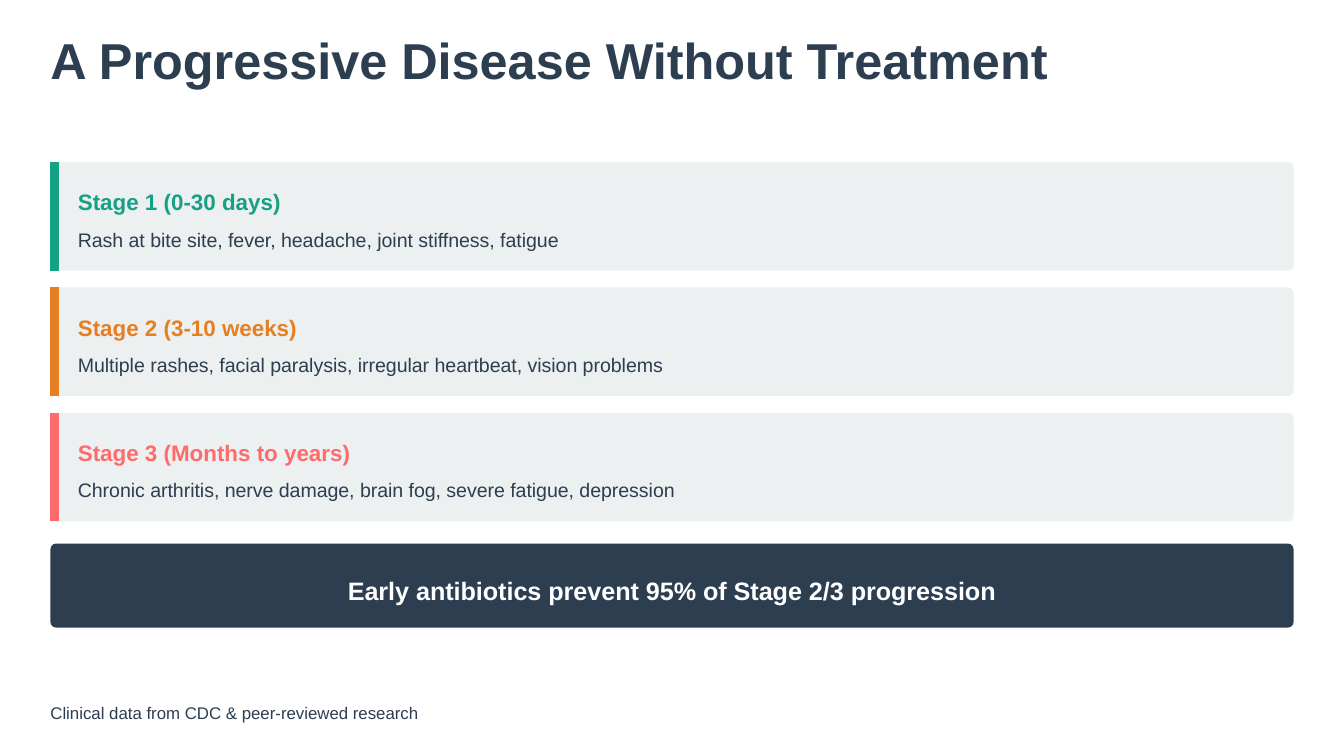
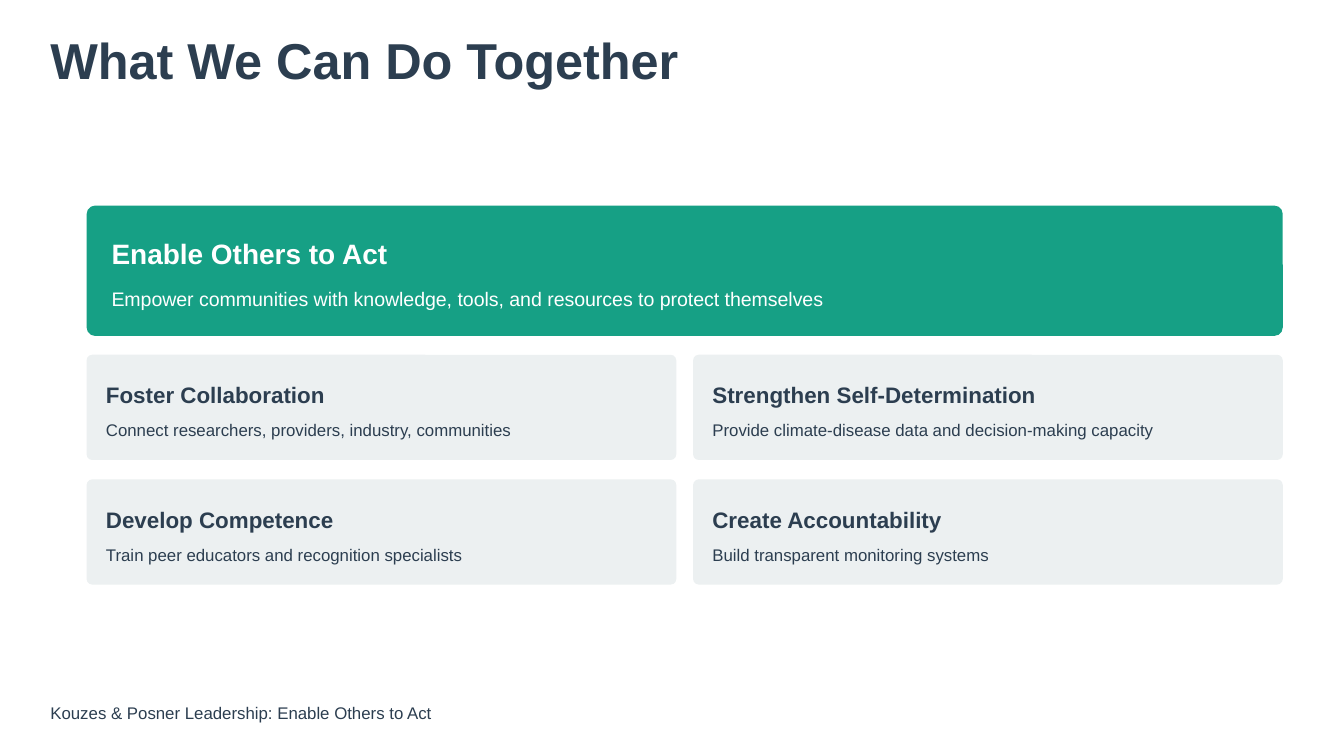
import dataclasses

import pptx
import pptx.dml.color
import pptx.enum.shapes
import pptx.enum.text
import pptx.oxml
import pptx.util

INK = pptx.dml.color.RGBColor(0x2C, 0x3E, 0x50)
MIST = pptx.dml.color.RGBColor(0xEC, 0xF0, 0xF1)
WHITE = pptx.dml.color.RGBColor(0xFF, 0xFF, 0xFF)
TEAL = pptx.dml.color.RGBColor(0x16, 0xA0, 0x85)
ORANGE = pptx.dml.color.RGBColor(0xE6, 0x7E, 0x22)
CORAL = pptx.dml.color.RGBColor(0xFF, 0x6B, 0x6B)

FONT = "Arial"
SLIDE_WIDTH = pptx.util.Inches(10)
SLIDE_HEIGHT = pptx.util.Inches(5.625)
COLUMNS = 100
CELL = SLIDE_WIDTH / COLUMNS
POINTS_PER_CELL = CELL / pptx.util.Pt(1)
MARGIN = 3.75
BLANK_LAYOUT = 6


@dataclasses.dataclass(frozen=True)
class Box:
    """A rectangle measured in square grid cells."""
    left: float
    top: float
    width: float
    height: float

    def emu(self):
        """Return left, top, width and height in slide units."""
        return [round(cells * CELL) for cells in dataclasses.astuple(self)]


@dataclasses.dataclass(frozen=True)
class TextStyle:
    """Size, line spacing and space after, in points."""
    size: float
    leading: float
    after: float = 0
    bold: bool = False

    @property
    def line_cells(self):
        """Return the height of one line in grid cells."""
        return self.leading / POINTS_PER_CELL


@dataclasses.dataclass(frozen=True)
class CardStyle:
    """Text styles, inset, spare text width and corner radius of a card."""
    heading: TextStyle
    detail: TextStyle
    inset: float
    trim: float
    radius: float = 0.42


TITLE = TextStyle(27, 30, 7.5, bold=True)
FOOTER = TextStyle(9, 12)
BANNER = TextStyle(13.5, 21, bold=True)
HEADING = TextStyle(12, 18, 4.5, bold=True)
STAGE_CARD = CardStyle(HEADING, TextStyle(10.5, 14.7), 2.05, 1.8)
ACTION_CARD = CardStyle(HEADING, TextStyle(9, 12.6), 1.43, 2.1)
LEAD_CARD = CardStyle(TextStyle(15, 21, 6, bold=True), TextStyle(10.5, 15.75), 1.85, 2.1, 0.63)

STAGES = [
    ("Stage 1 (0-30 days)", "Rash at bite site, fever, headache, joint stiffness, fatigue", TEAL),
    ("Stage 2 (3-10 weeks)",
     "Multiple rashes, facial paralysis, irregular heartbeat, vision problems", ORANGE),
    ("Stage 3 (Months to years)",
     "Chronic arthritis, nerve damage, brain fog, severe fatigue, depression", CORAL),
]
ACTIONS = [
    ("Foster Collaboration", "Connect researchers, providers, industry, communities"),
    ("Strengthen Self-Determination", "Provide climate-disease data and decision-making capacity"),
    ("Develop Competence", "Train peer educators and recognition specialists"),
    ("Create Accountability", "Build transparent monitoring systems"),
]


def add_line_of_text(slide, left, top, width, text, style, color,
                     align=pptx.enum.text.PP_ALIGN.LEFT):
    """Place one line of styled text at a grid position."""
    frame = slide.shapes.add_textbox(*Box(left, top, width, style.line_cells).emu()).text_frame
    frame.word_wrap = True
    frame.margin_left = frame.margin_right = frame.margin_top = frame.margin_bottom = 0
    paragraph = frame.paragraphs[0]
    paragraph.alignment = align
    paragraph.line_spacing = pptx.util.Pt(style.leading)
    paragraph.space_after = pptx.util.Pt(style.after)
    run = paragraph.add_run()
    run.text = text
    run.font.name = FONT
    run.font.size = pptx.util.Pt(style.size)
    run.font.bold = style.bold
    run.font.color.rgb = color


def add_panel(slide, box, fill, radius=0.42):
    """Draw a borderless rounded panel with a fixed corner radius."""
    panel = slide.shapes.add_shape(
        pptx.enum.shapes.MSO_SHAPE.ROUNDED_RECTANGLE, *box.emu())
    panel.adjustments[0] = radius / min(box.width, box.height)
    panel.shadow.inherit = False
    panel.fill.solid()
    panel.fill.fore_color.rgb = fill
    panel.line.fill.background()


def add_accent(slide, box, color):
    """Draw a thick upright line inside the left edge of a box."""
    thickness = 4.5
    center = box.left + thickness / POINTS_PER_CELL / 2
    left, top, _, height = dataclasses.replace(box, left=center).emu()
    accent = slide.shapes.add_connector(
        pptx.enum.shapes.MSO_CONNECTOR.STRAIGHT, left, top, left, top + height)
    accent.line.color.rgb = color
    accent.line.width = pptx.util.Pt(thickness)
    accent._element.spPr.append(pptx.oxml.parse_xml(
        '<a:effectLst xmlns:a="http://schemas.openxmlformats.org/drawingml/2006/main"/>'))


def add_card(slide, box, heading, detail, style, fill, heading_color, detail_color, accent=None):
    """Draw a panel with a heading and a detail line centred in its height."""
    add_panel(slide, box, fill, style.radius)
    if accent is not None:
        add_accent(slide, box, accent)
    detail_offset = style.heading.line_cells + style.heading.after / POINTS_PER_CELL
    left = box.left + style.inset
    top = box.top + (box.height - detail_offset - style.detail.line_cells) / 2
    width = box.width - style.trim
    add_line_of_text(slide, left, top, width, heading, style.heading, heading_color)
    add_line_of_text(slide, left, top + detail_offset, width, detail, style.detail, detail_color)


def add_banner(slide, box, message):
    """Draw a dark panel with a centred message."""
    add_panel(slide, box, INK)
    padding = 0.75
    add_line_of_text(slide, box.left + padding, box.top + (box.height - BANNER.line_cells) / 2,
                     box.width - 2 * padding, message, BANNER, WHITE,
                     pptx.enum.text.PP_ALIGN.CENTER)


def add_stages(slide, box, gap):
    """Stack the stage cards evenly in a box."""
    height = (box.height - gap * (len(STAGES) - 1)) / len(STAGES)
    for row, (heading, detail, color) in enumerate(STAGES):
        card = Box(box.left, box.top + row * (height + gap), box.width, height)
        add_card(slide, card, heading, detail, STAGE_CARD, MIST, color, INK, accent=color)


def add_actions(slide, box, column_gap, row_gap):
    """Lay the action cards out in two columns and two rows."""
    width = (box.width - column_gap) / 2
    height = (box.height - row_gap) / 2
    for index, (heading, detail) in enumerate(ACTIONS):
        row, column = divmod(index, 2)
        card = Box(box.left + column * (width + column_gap),
                   box.top + row * (height + row_gap), width, height)
        add_card(slide, card, heading, detail, ACTION_CARD, MIST, INK, INK)


def add_base_slide(deck, title, title_width, footer):
    """Add a white slide with its title and footer."""
    slide = deck.slides.add_slide(deck.slide_layouts[BLANK_LAYOUT])
    slide.background.fill.solid()
    slide.background.fill.fore_color.rgb = WHITE
    add_line_of_text(slide, MARGIN, 2.5, title_width, title, TITLE, INK)
    add_line_of_text(slide, MARGIN, 52.1, 94.4, footer, FOOTER, INK)
    return slide


def build_disease_slide(deck):
    """Build the slide on the stages of the disease."""
    slide = add_base_slide(deck, "A Progressive Disease Without Treatment", 75.8,
                           "Clinical data from CDC & peer-reviewed research")
    width = COLUMNS - 2 * MARGIN
    add_stages(slide, Box(MARGIN, 12.05, width, 26.75), gap=1.25)
    add_banner(slide, Box(MARGIN, 40.45, width, 6.25),
               "Early antibiotics prevent 95% of Stage 2/3 progression")


def build_action_slide(deck):
    """Build the slide on shared action."""
    slide = add_base_slide(deck, "What We Can Do Together", 47.7,
                           "Kouzes & Posner Leadership: Enable Others to Act")
    left, width = 6.45, 89
    add_card(slide, Box(left, 15.3, width, 9.7), "Enable Others to Act",
             "Empower communities with knowledge, tools, and resources to protect themselves",
             LEAD_CARD, TEAL, WHITE, WHITE)
    add_actions(slide, Box(left, 26.4, width, 17.1), column_gap=1.25, row_gap=1.45)


def main():
    """Build and save the deck."""
    deck = pptx.Presentation()
    deck.slide_width = SLIDE_WIDTH
    deck.slide_height = SLIDE_HEIGHT
    build_disease_slide(deck)
    build_action_slide(deck)
    deck.save("out.pptx")


if __name__ == "__main__":
    main()
